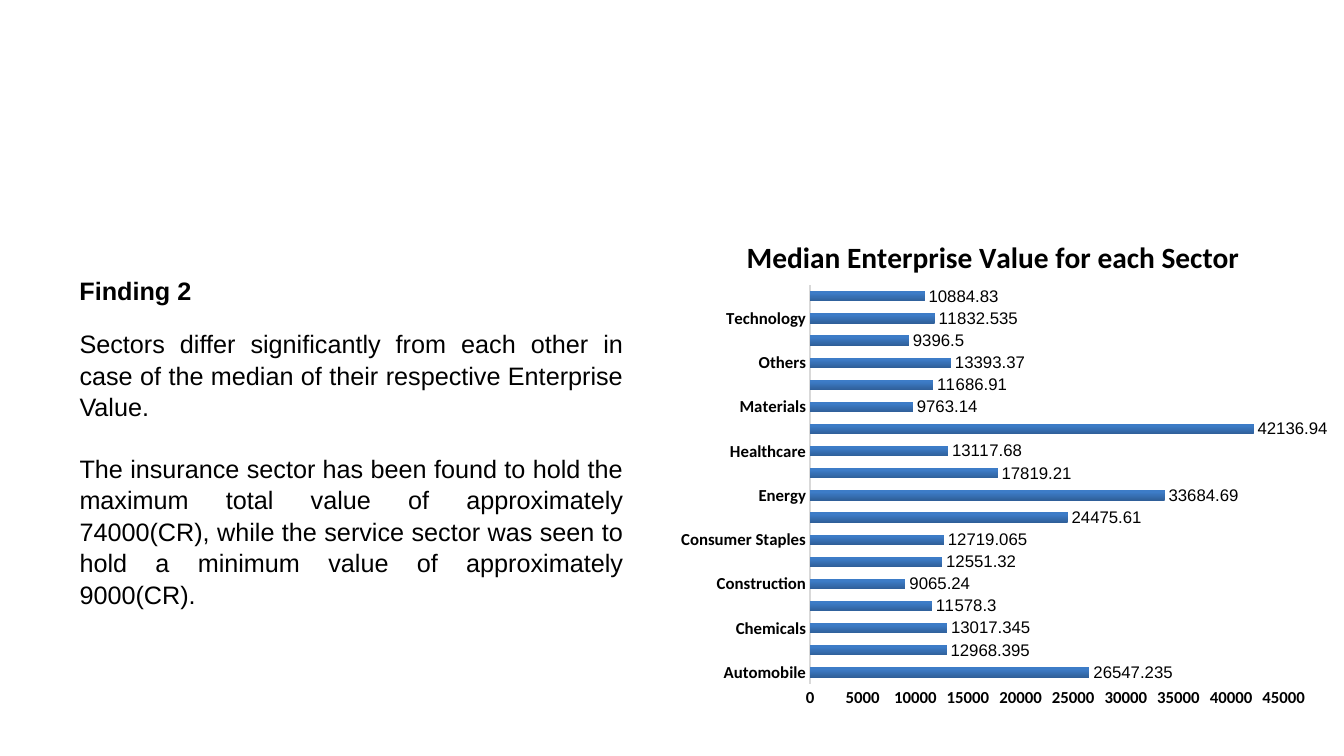
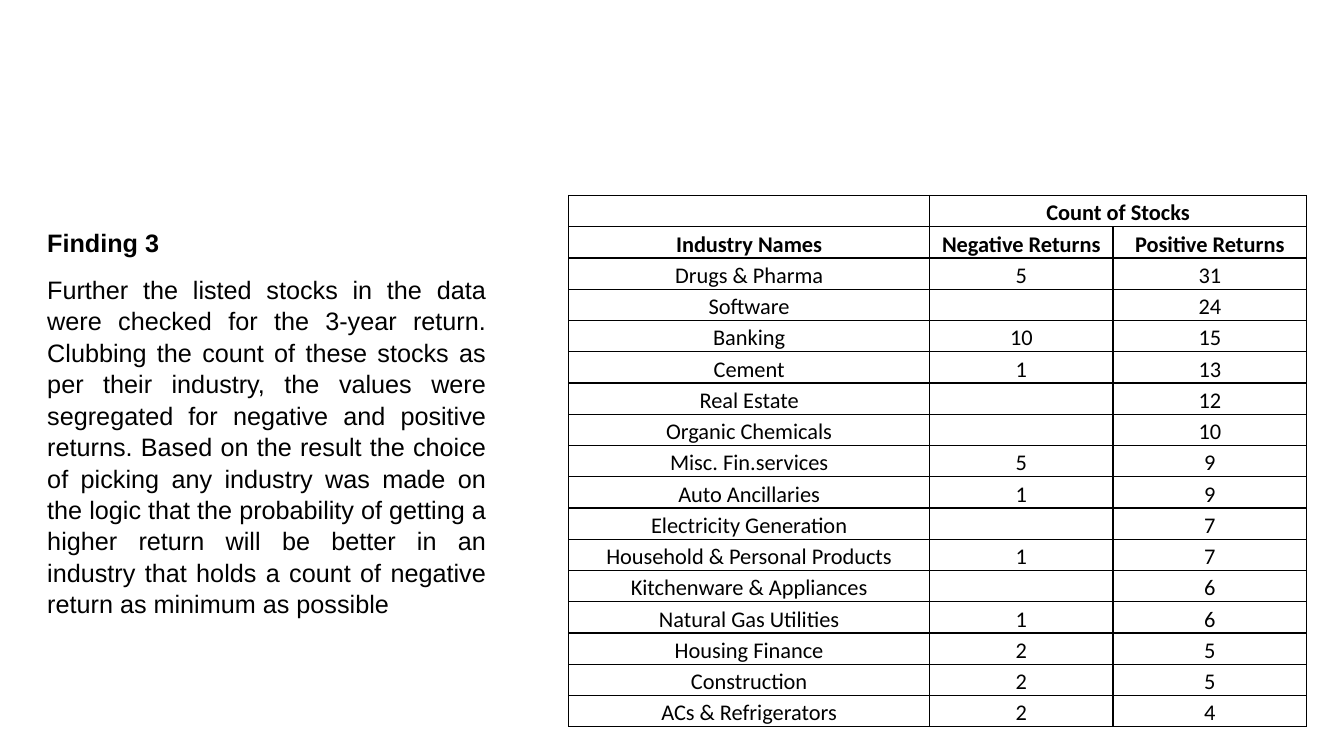
from lxml import etree
from pptx import Presentation
from pptx.chart.data import CategoryChartData
from pptx.dml.color import RGBColor
from pptx.enum.chart import XL_CHART_TYPE as CHART, XL_LABEL_POSITION as LABEL, XL_TICK_MARK as TICK
from pptx.enum.text import MSO_ANCHOR as ANCHOR, PP_ALIGN as ALIGN
from pptx.oxml import parse_xml
from pptx.oxml.ns import nsdecls, qn
from pptx.util import Inches, Pt

COLORS = {"text": "000000", "axis": "D9D9D9", "bar_dark": "2F5F99", "bar_light": "3D7CC7"}
BODY_FONT, DATA_FONT = "Arial", "Calibri"

SECTOR_FINDING = [
    "Sectors differ significantly from each other in case of the median of their "
    "respective Enterprise Value.",
    "The insurance sector has been found to hold the maximum total value of approximately "
    "74000(CR), while the service sector was seen to hold a minimum value of approximately "
    "9000(CR).",
]
INDUSTRY_FINDING = [
    "Further the listed stocks in the data were checked for the 3-year return. Clubbing the "
    "count of these stocks as per their industry, the values were segregated for negative and "
    "positive returns. Based on the result the choice of picking any industry was made on the "
    "logic that the probability of getting a higher return will be better in an industry that "
    "holds a count of negative return as minimum as possible",
]

CHART_TITLE = "Median Enterprise Value for each Sector"
SECTOR_MEDIANS = {
    "Automobile": 26547.235, "Capital Goods": 12968.395, "Chemicals": 13017.345,
    "Communication": 11578.3, "Construction": 9065.24, "Consumer Discretionary": 12551.32,
    "Consumer Staples": 12719.065, "Diversified": 24475.61, "Energy": 33684.69,
    "Financial": 17819.21, "Healthcare": 13117.68, "Insurance": 42136.94,
    "Materials": 9763.14, "Metals & Mining": 11686.91, "Others": 13393.37,
    "Services": 9396.5, "Technology": 11832.535, "Textiles": 10884.83,
}

HEADER_ROWS = 2
STOCK_COUNTS = [
    ("", "Count of Stocks", ""),
    ("Industry Names", "Negative Returns", "Positive Returns"),
    ("Drugs & Pharma", 5, 31),
    ("Software", "", 24),
    ("Banking", 10, 15),
    ("Cement", 1, 13),
    ("Real Estate", "", 12),
    ("Organic Chemicals", "", 10),
    ("Misc. Fin.services", 5, 9),
    ("Auto Ancillaries", 1, 9),
    ("Electricity Generation", "", 7),
    ("Household & Personal Products", 1, 7),
    ("Kitchenware & Appliances", "", 6),
    ("Natural Gas Utilities", 1, 6),
    ("Housing Finance", 2, 5),
    ("Construction", 2, 5),
    ("ACs & Refrigerators", 2, 4),
]
COLUMN_WIDTHS = (3.58, 1.82, 1.92)


def rgb(name):
    return RGBColor.from_string(COLORS[name])


def style(font, name=DATA_FONT, size=12, bold=False):
    font.name, font.size, font.bold = name, Pt(size), bold
    font.color.rgb = rgb("text")


def write(tf, paragraphs, align=ALIGN.LEFT, spacing=None, gap=0, **font):
    """Fill a text frame; gap is the space in points between paragraphs."""
    tf.word_wrap = True
    for i, text in enumerate(paragraphs):
        p = tf.add_paragraph() if i else tf.paragraphs[0]
        p.alignment = align
        p.line_spacing = spacing
        p.space_before = Pt(gap if i else 0)
        r = p.add_run()
        r.text = str(text)
        style(r.font, **font)


def add_text(s, box, paragraphs, top_inset=0.05, **fmt):
    tf = s.shapes.add_textbox(*map(Inches, box)).text_frame
    tf.margin_top = Inches(top_inset)
    write(tf, paragraphs, name=BODY_FONT, size=18, **fmt)


def add_finding(prs, number, heading_at, body_box, paragraphs, top_inset=0.05):
    s = prs.slides.add_slide(prs.slide_layouts[6])
    add_text(s, body_box, paragraphs, top_inset, align=ALIGN.JUSTIFY, spacing=1.04, gap=21.5)
    add_text(s, (*heading_at, 2.06, 0.4), [f"Finding {number}"], bold=True)
    return s


def place(element, x, y, w=None, h=None):
    """Give a chart part a fixed place, in shares of the chart."""
    for old in element.findall(qn("c:layout")):
        element.remove(old)
    layout = parse_xml(f'<c:layout {nsdecls("c")}><c:manualLayout/></c:layout>')
    values = [("layoutTarget", "inner")] if w else []
    values += [("xMode", "edge"), ("yMode", "edge"), ("x", x), ("y", y)]
    values += [("w", w), ("h", h)] if w else []
    for tag, value in values:
        etree.SubElement(layout[0], qn(f"c:{tag}")).set("val", str(value))
    text = element.find(qn("c:tx"))
    element.insert(0 if text is None else 1, layout)


def add_sector_chart(s):
    data = CategoryChartData()
    data.categories = list(SECTOR_MEDIANS)
    data.add_series("Series 1", list(SECTOR_MEDIANS.values()))
    box = map(Inches, (6.4, 2.03, 6.81, 5.34))
    chart = s.shapes.add_chart(CHART.BAR_CLUSTERED, *box, data).chart
    style(chart.font, size=10)
    chart.has_legend = False
    write(chart.chart_title.text_frame, [CHART_TITLE], align=ALIGN.CENTER, size=21, bold=True)
    chart.chart_title.include_in_layout = False

    for axis in (chart.category_axis, chart.value_axis):
        axis.major_tick_mark = axis.minor_tick_mark = TICK.NONE
        axis.has_major_gridlines = False
        style(axis.tick_labels.font, bold=True)
    line = chart.category_axis.format.line
    line.color.rgb, line.width = rgb("axis"), Pt(1)
    chart.value_axis.format.line.fill.background()
    chart.value_axis.minimum_scale = 0
    chart.value_axis.maximum_scale = 45000
    chart.value_axis.major_unit = 5000

    plot = chart.plots[0]
    plot.gap_width, plot.overlap, plot.vary_by_categories = 115, -20, False
    fill = plot.series[0].format.fill
    fill.gradient()
    fill.gradient_angle = 90
    for stop, name, position in zip(fill.gradient_stops, ("bar_dark", "bar_light"), (0, 0.8)):
        stop.color.rgb, stop.position = rgb(name), position
    plot.has_data_labels = True
    labels = plot.data_labels
    labels.show_value, labels.position = True, LABEL.OUTSIDE_END
    style(labels.font, name=BODY_FONT)

    place(chart.chart_title._element, 0.14, 0.05)
    place(plot._element.getparent(), 0.24, 0.15, 0.69, 0.74)


def add_borders(cell):
    props = cell._tc.get_or_add_tcPr()
    for i, side in enumerate(("lnL", "lnR", "lnT", "lnB")):
        props.insert(i, parse_xml(
            f'<a:{side} {nsdecls("a")} w="12700"><a:solidFill>'
            f'<a:srgbClr val="{COLORS["text"]}"/></a:solidFill></a:{side}>'))


def add_stock_table(s):
    box = map(Inches, (5.64, 1.94, sum(COLUMN_WIDTHS), 5.27))
    table = s.shapes.add_table(len(STOCK_COUNTS), len(COLUMN_WIDTHS), *box).table
    table.first_row = table.horz_banding = False
    for column, width in zip(table.columns, COLUMN_WIDTHS):
        column.width = Inches(width)
    table.cell(0, 1).merge(table.cell(0, 2))
    for row, values in enumerate(STOCK_COUNTS):
        for col, value in enumerate(values):
            cell = table.cell(row, col)
            cell.fill.background()
            cell.vertical_anchor = ANCHOR.BOTTOM
            cell.margin_left = cell.margin_right = cell.margin_top = Inches(0.01)
            cell.margin_bottom = 0
            add_borders(cell)
            if value != "":
                write(cell.text_frame, [value], align=ALIGN.CENTER, size=16,
                      bold=row < HEADER_ROWS)


def main():
    prs = Presentation()
    prs.slide_width, prs.slide_height = Inches(13.33), Inches(7.5)
    s = add_finding(prs, 2, (0.69, 2.68), (0.69, 2.54, 5.59, 3.8), SECTOR_FINDING, top_inset=0.71)
    add_sector_chart(s)
    s = add_finding(prs, 3, (0.37, 2.21), (0.37, 2.66, 4.55, 3.43), INDUSTRY_FINDING)
    add_stock_table(s)
    prs.save("out.pptx")


if __name__ == "__main__":
    main()
